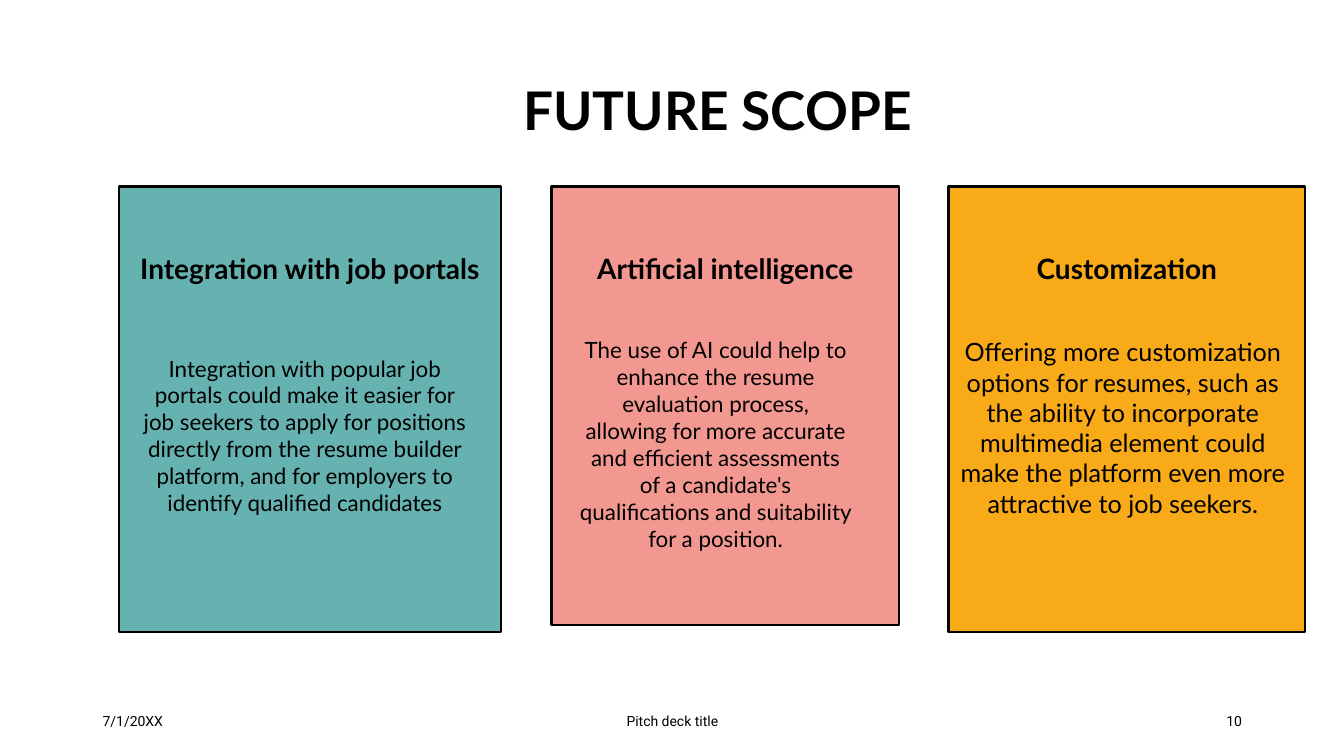
from dataclasses import dataclass

from pptx import Presentation
from pptx.dml.color import RGBColor
from pptx.enum.shapes import MSO_SHAPE as Preset
from pptx.enum.text import MSO_ANCHOR as Anchor, PP_ALIGN as Align
from pptx.shapes.autoshape import Shape
from pptx.slide import Slide
from pptx.util import Pt


@dataclass(frozen=True)
class Theme:
    ink: RGBColor = RGBColor(0x00, 0x00, 0x00)
    teal: RGBColor = RGBColor(0x66, 0xB2, 0xB0)
    coral: RGBColor = RGBColor(0xF3, 0x98, 0x91)
    amber: RGBColor = RGBColor(0xF9, 0xAA, 0x19)
    main_font: str = "Lato"
    footer_font: str = "Roboto"
    title_size: float = 38
    heading_size: float = 20
    large_body_size: float = 18
    body_size: float = 16
    footer_size: float = 10
    outline: float = 1.75


@dataclass(frozen=True)
class Box:
    left: float
    top: float
    width: float
    height: float

    def lengths(self) -> tuple[Pt, Pt, Pt, Pt]:
        return Pt(self.left), Pt(self.top), Pt(self.width), Pt(self.height)


@dataclass(frozen=True)
class Style:
    size: float
    font: str
    bold: bool = False
    align: Align = Align.CENTER
    anchor: Anchor = Anchor.TOP
    spacing: float = 1.0
    side_inset: float = 7.2
    top_inset: float = 3.6


@dataclass(frozen=True)
class Card:
    heading: str
    detail: str
    fill: RGBColor
    panel: Box
    detail_box: Box
    detail_size: float
    side_inset: float = 0


@dataclass(frozen=True)
class FooterItem:
    text: str
    left: float
    width: float
    align: Align


THEME = Theme()
CARD_TOP = 133.2
FOOTER_TOP = 500.4
FOOTER_HEIGHT = 28.8

CARDS = [
    Card(
        "Integration with job portals",
        "Integration with popular job portals could make it easier for job seekers "
        "to apply for positions directly from the resume builder platform, and for "
        "employers to identify qualified candidates",
        THEME.teal,
        Box(84.96, CARD_TOP, 272.88, 318.24),
        Box(94.32, 249.84, 246.96, 137.52),
        THEME.body_size,
        side_inset=7.2,
    ),
    Card(
        "Artificial intelligence",
        "The use of AI could help to enhance the resume evaluation process, allowing "
        "for more accurate and efficient assessments of a candidate's qualifications "
        "and suitability for a position.",
        THEME.coral,
        Box(393.84, CARD_TOP, 248.4, 313.2),
        Box(406.8, 236.88, 208.8, 150.48),
        THEME.body_size,
    ),
    Card(
        "Customization",
        "Offering more customization options for resumes, such as the ability to "
        "incorporate multimedia element could make the platform even more attractive "
        "to job seekers.",
        THEME.amber,
        Box(677.52, CARD_TOP, 254.88, 318.24),
        Box(677.52, 236.88, 249.12, 190.8),
        THEME.large_body_size,
    ),
]

FOOTER = [
    FooterItem("7/1/20XX", 66.24, 216, Align.LEFT),
    FooterItem("Pitch deck title", 318.24, 324, Align.CENTER),
    FooterItem("10", 678.24, 216, Align.RIGHT),
]


def write_text(holder: Shape, text: str, style: Style) -> None:
    frame = holder.text_frame
    paragraph = frame.paragraphs[0]
    run = paragraph.add_run()
    run.text = text
    run.font.color.rgb = THEME.ink
    formats = {
        frame: {
            "word_wrap": True,
            "vertical_anchor": style.anchor,
            "margin_left": Pt(style.side_inset),
            "margin_right": Pt(style.side_inset),
            "margin_top": Pt(style.top_inset),
            "margin_bottom": Pt(3.6),
        },
        paragraph: {"alignment": style.align, "line_spacing": style.spacing},
        run.font: {"name": style.font, "size": Pt(style.size), "bold": style.bold},
    }
    for target, values in formats.items():
        for attribute, value in values.items():
            setattr(target, attribute, value)


def add_text(slide: Slide, box: Box, text: str, style: Style) -> None:
    write_text(slide.shapes.add_textbox(*box.lengths()), text, style)


def add_card(slide: Slide, card: Card) -> None:
    panel = slide.shapes.add_shape(Preset.RECTANGLE, *card.panel.lengths())
    panel.shadow.inherit = False
    panel.fill.solid()
    panel.fill.fore_color.rgb = card.fill
    panel.line.color.rgb = THEME.ink
    panel.line.width = Pt(THEME.outline)
    heading = Style(
        THEME.heading_size,
        THEME.main_font,
        bold=True,
        spacing=0.9,
        side_inset=card.side_inset,
        top_inset=48.96,
    )
    write_text(panel, card.heading, heading)
    add_text(slide, card.detail_box, card.detail, Style(card.detail_size, THEME.main_font))


def add_footer_item(slide: Slide, item: FooterItem) -> None:
    style = Style(
        THEME.footer_size, THEME.footer_font, align=item.align, anchor=Anchor.MIDDLE
    )
    box = Box(item.left, FOOTER_TOP, item.width, FOOTER_HEIGHT)
    add_text(slide, box, item.text, style)


def main() -> None:
    deck = Presentation()
    deck.slide_width, deck.slide_height = Pt(960), Pt(540)
    slide = deck.slides.add_slide(deck.slide_layouts[6])
    title = Style(
        THEME.title_size, THEME.main_font, bold=True, anchor=Anchor.MIDDLE, spacing=0.9
    )
    add_text(slide, Box(98.64, 28.8, 828, 104.4), "FUTURE SCOPE", title)
    for card in CARDS:
        add_card(slide, card)
    for item in FOOTER:
        add_footer_item(slide, item)
    deck.save("out.pptx")


if __name__ == "__main__":
    main()
